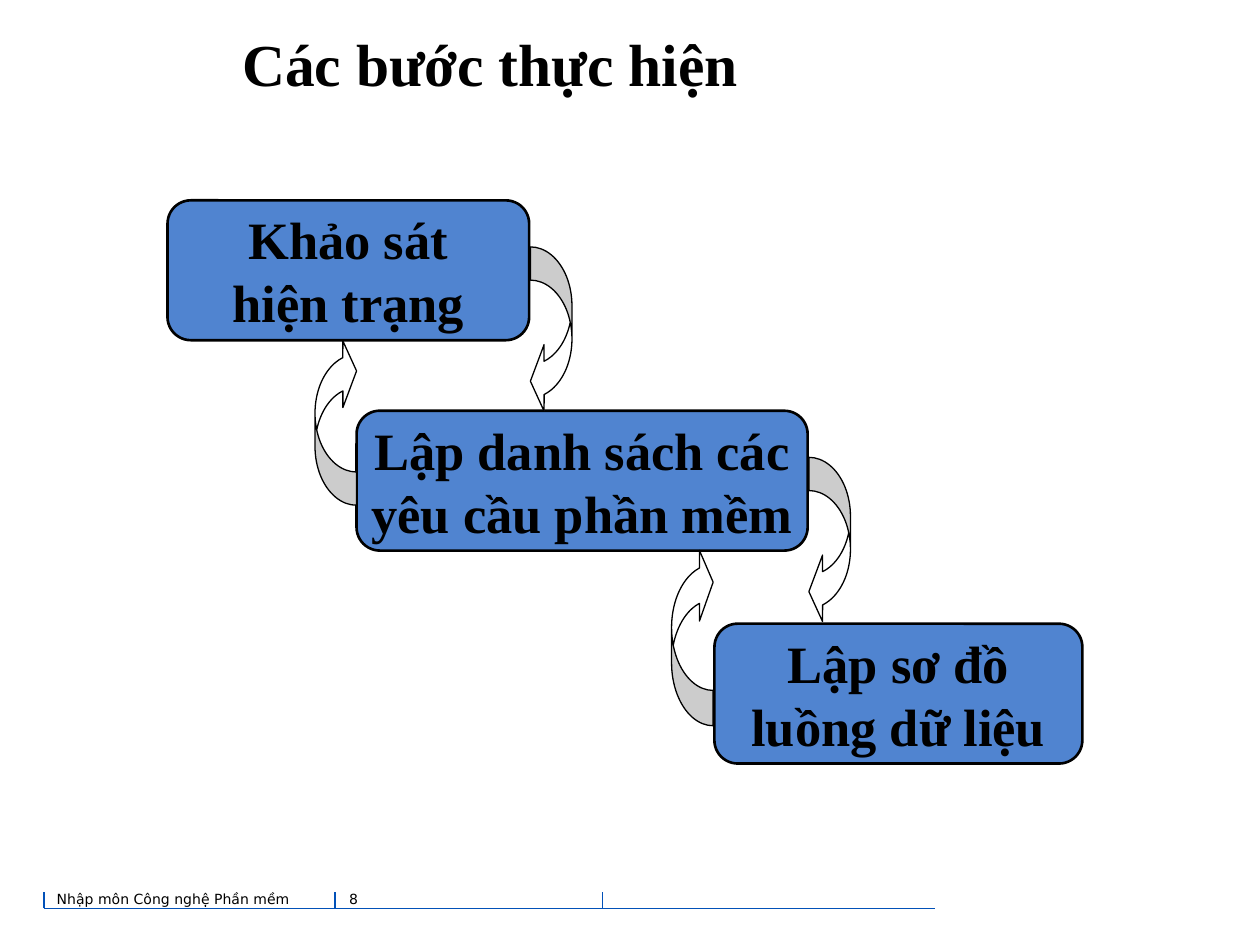
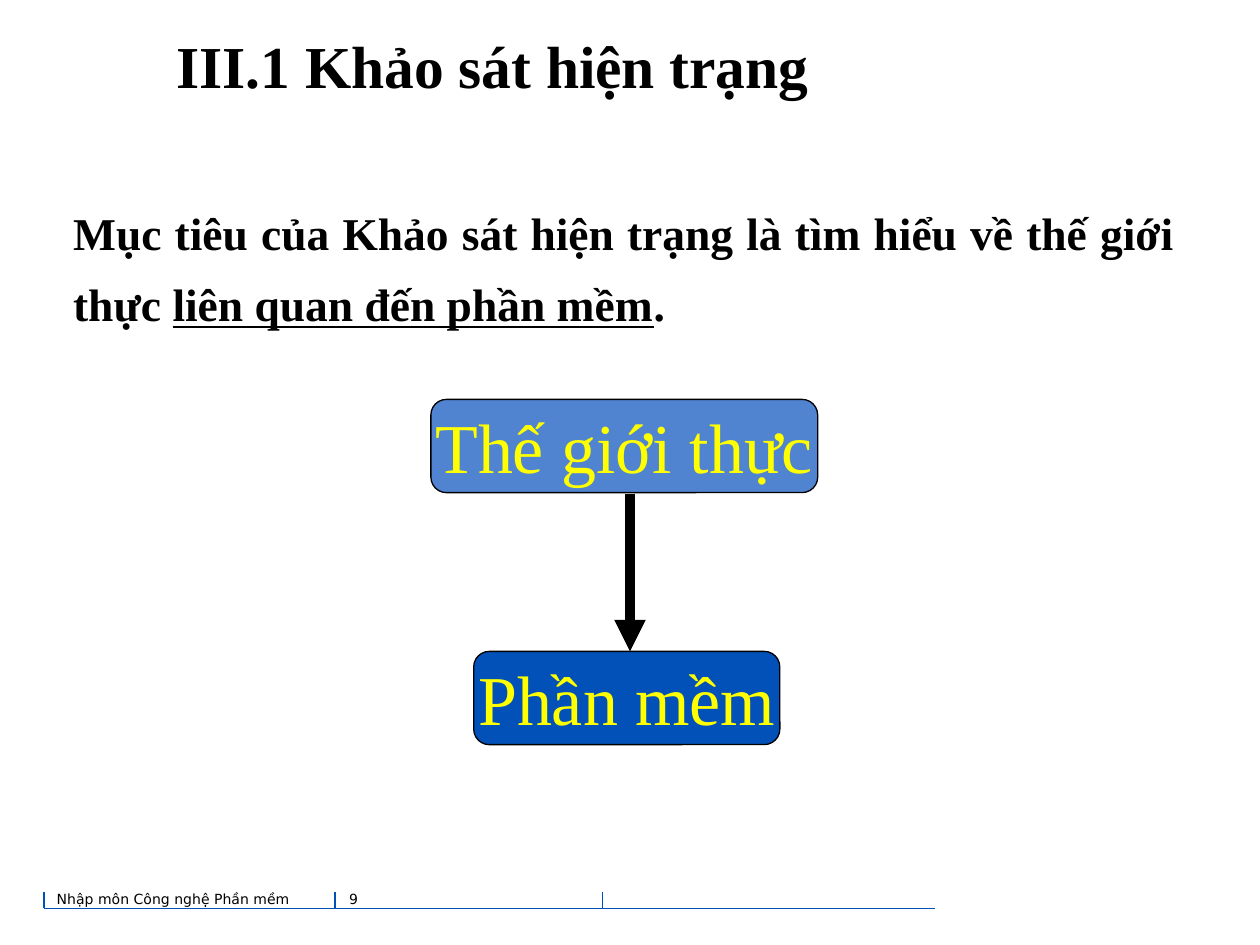
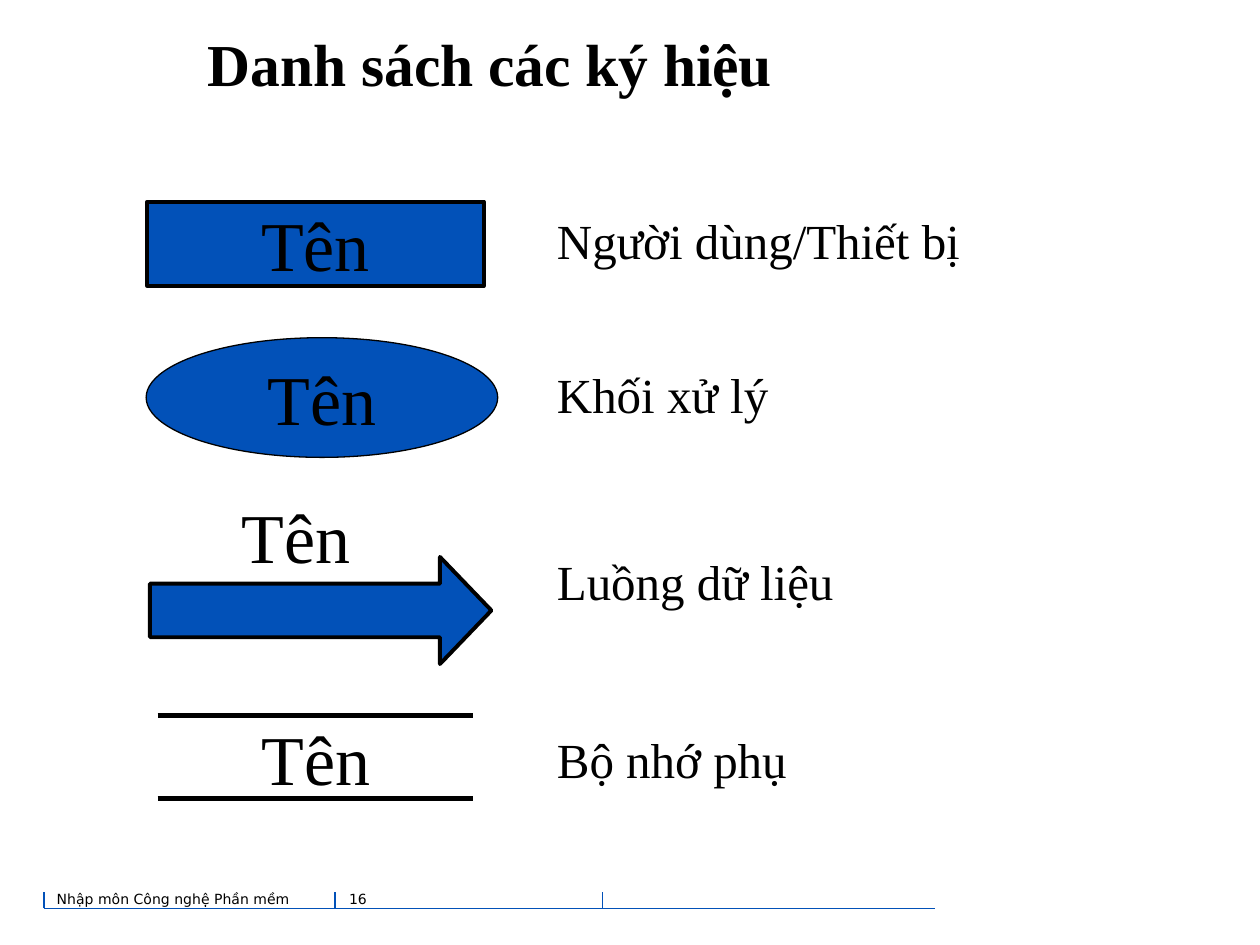
from lxml.etree import SubElement
from pptx import Presentation
from pptx.dml.color import RGBColor
from pptx.enum.shapes import MSO_CONNECTOR, MSO_SHAPE
from pptx.enum.text import MSO_ANCHOR, MSO_AUTO_SIZE, PP_ALIGN
from pptx.oxml.ns import qn
from pptx.util import Inches, Pt

BLACK = RGBColor(0x00, 0x00, 0x00)
WHITE = RGBColor(0xFF, 0xFF, 0xFF)
BLUE = RGBColor(0x02, 0x51, 0xB8)
PALE = RGBColor(0x50, 0x84, 0xD0)
YELLOW = RGBColor(0xFF, 0xFF, 0x00)
SERIF = "Times New Roman"
SANS = "DejaVu Sans"


def write(shape, text, size, color=BLACK, bold=False, align=PP_ALIGN.CENTER,
          anchor=MSO_ANCHOR.MIDDLE, font=SERIF, inset=0, wrap=True):
    frame = shape.text_frame
    frame.text = text
    frame.word_wrap = wrap
    frame.auto_size = MSO_AUTO_SIZE.NONE
    frame.vertical_anchor = anchor
    frame.margin_left = frame.margin_right = Inches(inset)
    frame.margin_top = frame.margin_bottom = Inches(inset)
    for para in frame.paragraphs:
        props = para._p.get_or_add_pPr()
        props.set("marL", "0")
        props.set("indent", "0")
        SubElement(props, qn("a:buNone"))
        para.alignment = align
        para.space_before = Pt(0)
        for run in para.runs:
            run.font.name = font
            run.font.size = Pt(size)
            run.font.bold = bold
            run.font.color.rgb = color


def rule(slide, x1, y1, x2, y2, color, width):
    line = slide.shapes.add_connector(
        MSO_CONNECTOR.STRAIGHT, Inches(x1), Inches(y1), Inches(x2), Inches(y2))
    line.line.color.rgb = color
    line.line.width = Pt(width)
    SubElement(line._element.spPr, qn("a:effectLst"))
    return line


deck = Presentation()
deck.slide_width, deck.slide_height = Inches(10), Inches(7.5)

pages = [
    ("Các bước thực hiện", "8", 5, 0.35, 0.07),
    ("III.1 Khảo sát hiện trạng", "9", 1, 0.37, 0.09),
    ("Danh sách các ký hiệu", "16", 1, 0.35, 0.07),
]
for title, number, layout, x, y in pages:
    slide = deck.slides.add_slide(deck.slide_layouts[layout])
    head = slide.shapes.title
    head.left, head.top = Inches(x), Inches(y)
    head.width, head.height = Inches(7.08), Inches(0.85)
    write(head, title, 34, bold=True)
    rule(slide, 7.42, 7.21, 0.35, 7.21, BLUE, 0.75)
    for tick in (0.35, 2.66, 4.78):
        rule(slide, tick, 7.21, tick, 7.08, BLUE, 0.75)
    for left, width, text in ((0.41, 2.19, "Nhập môn Công nghệ Phần mềm"),
                              (2.73, 1.25, number)):
        foot = slide.shapes.add_textbox(
            Inches(left), Inches(7.03), Inches(width), Inches(0.25))
        write(foot, text, 8, align=PP_ALIGN.LEFT, anchor=MSO_ANCHOR.TOP,
              font=SANS, inset=0.04)
steps, survey, symbols = deck.slides

ROUND = MSO_SHAPE.ROUNDED_RECTANGLE
boxes = [
    (steps, ROUND, 1.33, 1.59, 2.87, 1.11, PALE, 1.5, "Khảo sát\nhiện trạng", 30, BLACK, True),
    (steps, ROUND, 2.83, 3.26, 3.58, 1.11, PALE, 1.5,
     "Lập danh sách các yêu cầu phần mềm", 30, BLACK, True),
    (steps, ROUND, 5.67, 4.95, 2.92, 1.11, PALE, 1.5, "Lập sơ đồ luồng dữ liệu", 30, BLACK, True),
    (survey, ROUND, 3.76, 5.17, 2.43, 0.74, BLUE, 0.75, "Phần mềm", 40, YELLOW, False),
    (survey, ROUND, 3.42, 3.17, 3.07, 0.74, PALE, 0.75, "Thế giới thực", 40, YELLOW, False),
    (symbols, MSO_SHAPE.RECTANGLE, 1.17, 1.6, 2.67, 0.67, BLUE, 2.25, "Tên", 40, BLACK, False),
    (symbols, MSO_SHAPE.OVAL, 1.16, 2.68, 2.79, 0.95, BLUE, 0.75, "Tên", 40, BLACK, False),
    (symbols, MSO_SHAPE.RIGHT_ARROW, 1.19, 4.42, 2.71, 0.85, BLUE, 2.25, "", 40, BLACK, False),
]
for slide, kind, x, y, w, h, fill, edge, text, size, color, bold in boxes:
    box = slide.shapes.add_shape(kind, Inches(x), Inches(y), Inches(w), Inches(h))
    box.shadow.inherit = False
    box.fill.solid()
    box.fill.fore_color.rgb = fill
    box.line.color.rgb = BLACK
    box.line.width = Pt(edge)
    if kind == MSO_SHAPE.RIGHT_ARROW:
        box.adjustments[1] = 0.48
    if text:
        write(box, text, size, color, bold, wrap=slide is steps)

turns = [
    (4.21, 1.96, 1.33, 0, 0.8),
    (6.42, 3.63, 1.33, 0, 0.8),
    (2.5, 2.68, 1.33, 180, 0.8),
    (5.33, 4.34, 1.42, 180, 0.85),
]
for x, y, h, angle, thick in turns:
    turn = steps.shapes.add_shape(
        MSO_SHAPE.CURVED_LEFT_ARROW, Inches(x), Inches(y), Inches(0.33), Inches(h))
    turn.rotation = angle
    turn.adjustments[0] = thick
    turn.adjustments[1] = 2 * thick
    turn.adjustments[2] = 0.33
    turn.shadow.inherit = False
    turn.fill.solid()
    turn.fill.fore_color.rgb = WHITE
    turn.line.color.rgb = BLACK
    turn.line.width = Pt(0.75)

goal = survey.placeholders[1]
goal.left, goal.top, goal.width, goal.height = (Inches(n) for n in (0.58, 1.5, 8.75, 1.31))
para = goal.text_frame.paragraphs[0]
for part in ("Mục tiêu của Khảo sát hiện trạng là tìm hiểu về thế giới thực ",
             "liên quan đến phần mềm", "."):
    para.add_run().text = part
goal.text_frame.word_wrap = True
goal.text_frame.auto_size = MSO_AUTO_SIZE.NONE
goal.text_frame.margin_left = goal.text_frame.margin_right = 0
goal.text_frame.margin_top = goal.text_frame.margin_bottom = 0
props = para._p.get_or_add_pPr()
props.set("marL", "0")
props.set("indent", "0")
SubElement(props, qn("a:buNone"))
para.alignment = PP_ALIGN.JUSTIFY
para.line_spacing = 1.3
para.space_before = Pt(0)
for run in para.runs:
    run.font.name = SERIF
    run.font.size = Pt(26)
    run.font.bold = True
    run.font.color.rgb = BLACK
para.runs[1].font.underline = True

arrow = rule(survey, 5, 3.92, 5, 5.17, BLACK, 6)
SubElement(arrow.line._get_or_add_ln(), qn("a:tailEnd"), type="triangle")

for y in (5.68, 6.34):
    rule(symbols, 1.25, y, 3.75, y, BLACK, 3)
for x, y in ((2.08, 5.68), (1.92, 3.92)):
    label = symbols.shapes.add_textbox(Inches(x), Inches(y), Inches(0.86), Inches(0.67))
    write(label, "Tên", 40, anchor=MSO_ANCHOR.TOP, wrap=False)

names = symbols.placeholders[1]
names.left, names.top, names.width, names.height = (Inches(n) for n in (4.42, 1.67, 3.5, 5))
write(names, "Người dùng/Thiết bị\nKhối xử lý\nLuồng dữ liệu\nBộ nhớ phụ", 28,
      align=PP_ALIGN.JUSTIFY, anchor=MSO_ANCHOR.TOP)
for para, gap in zip(names.text_frame.paragraphs, (0, 54.4, 73.2, 68.4)):
    para.space_before = Pt(gap)

deck.save("out.pptx")
